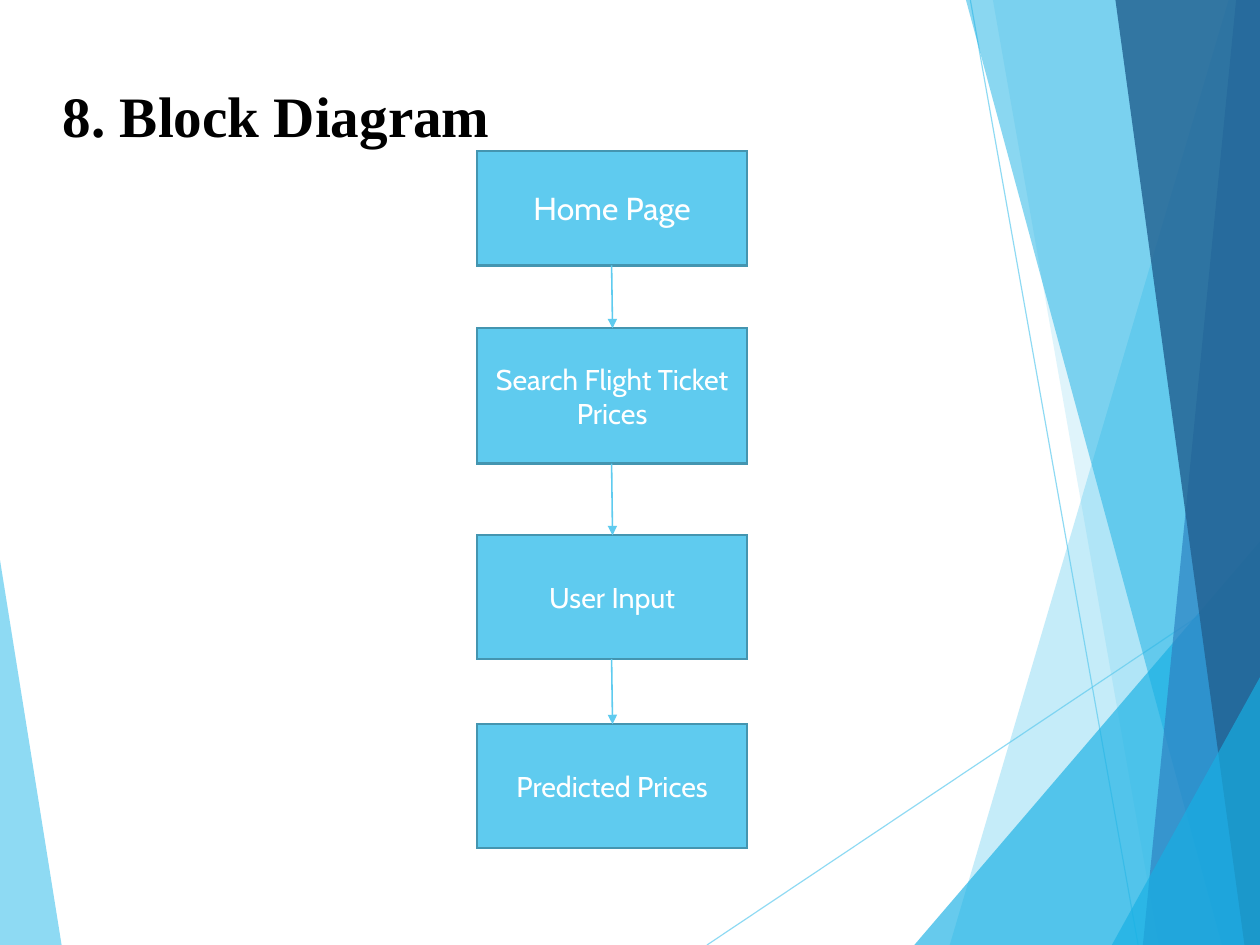
from dataclasses import dataclass
from itertools import pairwise

from lxml.etree import SubElement
from pptx import Presentation
from pptx.dml.color import RGBColor
from pptx.enum.shapes import MSO_CONNECTOR as Link, MSO_SHAPE as Form
from pptx.enum.text import MSO_ANCHOR as Anchor, PP_ALIGN as Align
from pptx.oxml.ns import qn
from pptx.util import Pt

WIDE, HIGH = 793.75, 595.25
SKY = RGBColor(0x5F, 0xCB, 0xEF)
AQUA = RGBColor(0x17, 0xB0, 0xE4)
BLUE = RGBColor(0x2E, 0x83, 0xC3)
NAVY = RGBColor(0x23, 0x62, 0x92)
EDGE = RGBColor(0x44, 0x95, 0xB0)
WHITE = RGBColor(0xFF, 0xFF, 0xFF)
BLACK = RGBColor(0, 0, 0)

Point = tuple[float, float]


@dataclass
class Shard:
    dots: list[Point]
    color: RGBColor
    alpha: int


@dataclass
class Step:
    text: str
    top: float
    high: float
    size: float = 18


def band(top: float, low: float, color: RGBColor, alpha: int) -> Shard:
    return Shard([(top, 0), (low, HIGH), (WIDE, HIGH), (WIDE, 0)], color, alpha)


def wedge(left: float, top: float) -> Shard:
    return Shard([(left, HIGH), (WIDE, top), (WIDE, HIGH)], AQUA, 66)


SHARDS = [
    band(774, 598.3, SKY, 36),
    band(625.5, 730, SKY, 20),
    wedge(576, 341),
    band(608.5, 769.7, AQUA, 50),
    band(778.7, 720, BLUE, 70),
    band(702.7, 784, NAVY, 82),
    wedge(700.4, 426.5),
]
CORNER = Shard([(0, 352.8), (38.8, HIGH), (0, HIGH)], SKY, 70)
RAYS = [((445.4, HIGH), (WIDE, 362.2)), ((611.3, 0), (717, HIGH))]

LEFT, SPAN = 300.6, 170
STEPS = [
    Step("Home Page", 95, 72.2, 20),
    Step("Search Flight Ticket Prices", 206.8, 85.2),
    Step("User Input", 337.2, 78),
    Step("Predicted Prices", 456.2, 78),
]


def fade(shape, alpha: int) -> None:
    for color in shape.element.spPr.iter(qn("a:srgbClr")):
        SubElement(color, qn("a:alpha"), val=str(alpha * 1000))


def write(shape, text: str, *, font: str, size: float, color: RGBColor,
          bold: bool = False, align: Align = Align.LEFT, space: float = 1,
          pads: tuple[float, ...] = (7.2, 3.6, 7.2, 3.6)) -> None:
    frame = shape.text_frame
    frame.word_wrap = True
    frame.vertical_anchor = Anchor.MIDDLE
    (frame.margin_left, frame.margin_top,
     frame.margin_right, frame.margin_bottom) = map(Pt, pads)
    para = frame.paragraphs[0]
    para.alignment = align
    para.line_spacing = space
    run = para.add_run()
    run.text = text
    run.font.name = font
    run.font.size = Pt(size)
    run.font.bold = bold
    run.font.color.rgb = color


def draw_shard(slide, shard: Shard) -> None:
    first, *rest = [(Pt(x), Pt(y)) for x, y in shard.dots]
    pen = slide.shapes.build_freeform(*first)
    pen.add_line_segments(rest)
    shape = pen.convert_to_shape()
    shape.shadow.inherit = False
    shape.fill.solid()
    shape.fill.fore_color.rgb = shard.color
    shape.line.fill.background()
    fade(shape, shard.alpha)


def draw_line(slide, start: Point, end: Point, width: float,
              alpha: int = 100, arrow: bool = False) -> None:
    line = slide.shapes.add_connector(Link.STRAIGHT, *map(Pt, start + end))
    line.line.color.rgb = SKY
    line.line.width = Pt(width)
    if alpha < 100:
        fade(line, alpha)
    props = line.element.spPr
    if arrow:
        SubElement(props.find(qn("a:ln")), qn("a:tailEnd"), type="triangle")
    SubElement(props, qn("a:effectLst"))


def draw_step(slide, step: Step) -> None:
    box = slide.shapes.add_shape(
        Form.RECTANGLE, Pt(LEFT), Pt(step.top), Pt(SPAN), Pt(step.high))
    box.shadow.inherit = False
    box.fill.solid()
    box.fill.fore_color.rgb = SKY
    box.line.color.rgb = EDGE
    box.line.width = Pt(1.5)
    SubElement(box.element.spPr.find(qn("a:ln")), qn("a:miter"), lim="800000")
    write(box, step.text, font="Cabin", size=step.size, color=WHITE,
          align=Align.CENTER)


def main() -> None:
    deck = Presentation()
    deck.slide_width, deck.slide_height = Pt(WIDE), Pt(HIGH)
    slide = deck.slides.add_slide(deck.slide_layouts[6])

    draw_shard(slide, CORNER)
    for start, end in RAYS:
        draw_line(slide, start, end, 0.75, alpha=70)
    for shard in SHARDS:
        draw_shard(slide, shard)

    title = slide.shapes.add_textbox(Pt(39.6), Pt(23.8), Pt(714), Pt(99.4))
    write(title, "8. Block Diagram", font="Times New Roman", size=36,
          color=BLACK, bold=True, space=0.93, pads=(0, 2.2, 0, 0))

    for step in STEPS:
        draw_step(slide, step)
    mid = LEFT + SPAN / 2
    for step, after in pairwise(STEPS):
        draw_line(slide, (mid - 0.3, step.top + step.high),
                  (mid + 0.3, after.top), 1, arrow=True)

    deck.save("out.pptx")


if __name__ == "__main__":
    main()
